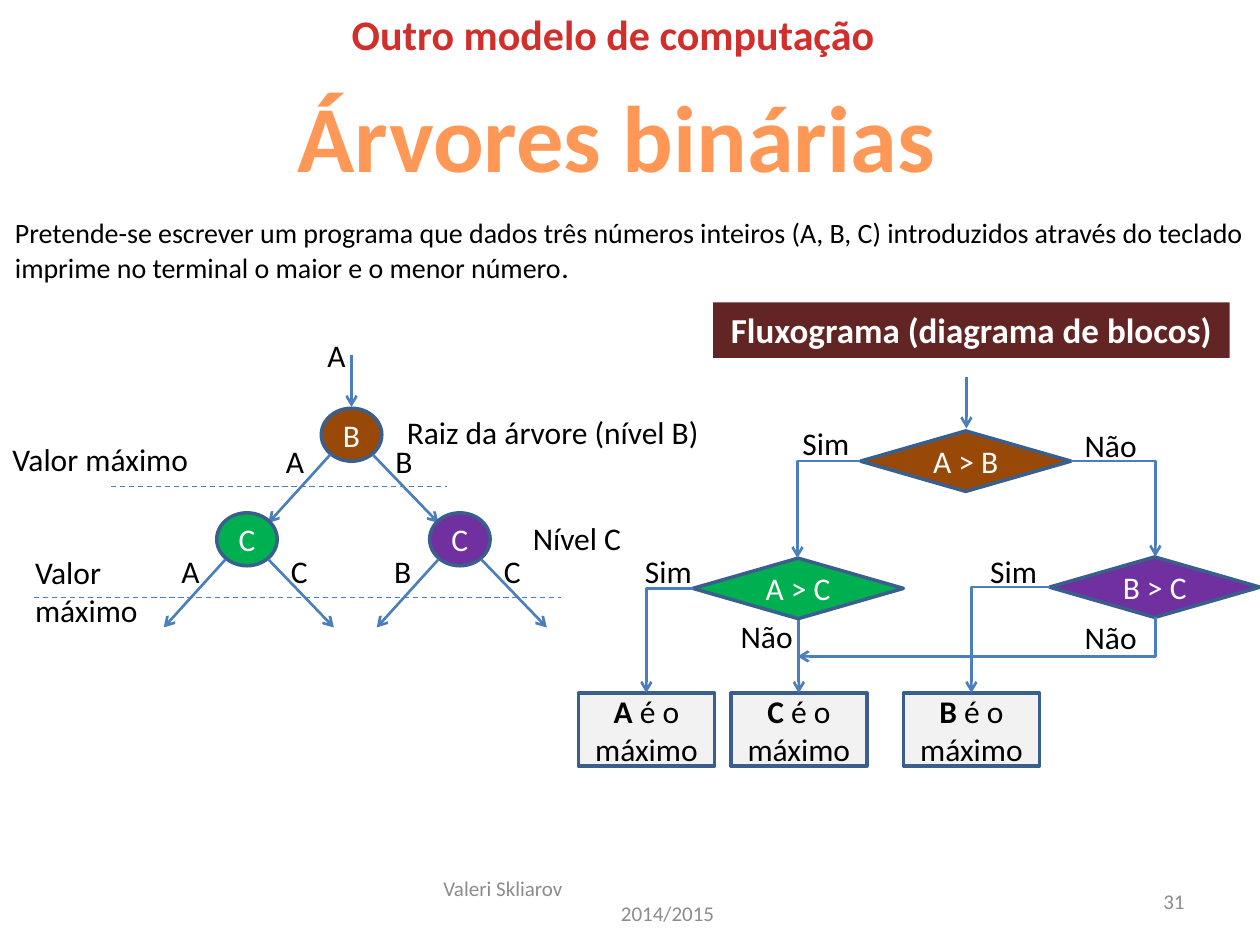
from lxml.etree import SubElement
from pptx import Presentation
from pptx.dml.color import RGBColor
from pptx.enum.dml import MSO_LINE
from pptx.enum.shapes import MSO_CONNECTOR, MSO_SHAPE
from pptx.enum.text import MSO_ANCHOR, PP_ALIGN
from pptx.oxml.ns import qn
from pptx.util import Inches, Pt

COLORS = {
    "black": "000000", "white": "FFFFFF", "gray": "8C8C8C", "red": "D02F2C",
    "orange": "FF9856", "maroon": "632523", "brown": "984807", "green": "00B050",
    "purple": "7030A0", "pale": "F2F2F2", "border": "3A5F8C", "line": "4B7EBC",
}


def color(name):
    return RGBColor.from_string(COLORS[name])


class SlideBuilder:
    font_name = "Calibri"
    text_size = 18

    def __init__(self, slide):
        self.slide = slide

    def add_runs(self, paragraph, runs, size, color_name, align):
        paragraph.alignment = align
        for text, options in runs:
            run = paragraph.add_run()
            run.text = text
            font = run.font
            font.name = self.font_name
            font.size = Pt(options.get("size", size))
            font.bold = options.get("bold", False)
            font.color.rgb = color(color_name)

    def place(self, shape, left, top, width, height):
        shape.left, shape.top = Inches(left), Inches(top)
        shape.width, shape.height = Inches(width), Inches(height)

    def title(self, text, box, size, color_name):
        shape = self.slide.shapes.title
        self.place(shape, *box)
        frame = shape.text_frame
        frame.word_wrap = False
        frame.vertical_anchor = MSO_ANCHOR.TOP
        self.add_runs(frame.paragraphs[0], [(text, {"bold": True})], size, color_name,
                      PP_ALIGN.CENTER)

    def text(self, runs, box, size=text_size, color_name="black", align=PP_ALIGN.LEFT,
             wrap=False, anchor=MSO_ANCHOR.TOP, fill=None):
        shape = self.slide.shapes.add_textbox(*map(Inches, box))
        if fill:
            shape.fill.solid()
            shape.fill.fore_color.rgb = color(fill)
        frame = shape.text_frame
        frame.word_wrap = wrap
        frame.vertical_anchor = anchor
        self.add_runs(frame.paragraphs[0], runs, size, color_name, align)
        return frame

    def label(self, text, left, top, width, height=0.4, wrap=False):
        self.text([(text, {})], (left, top, width, height), wrap=wrap)

    def node(self, kind, runs, box, fill, color_name="white"):
        shape = self.slide.shapes.add_shape(kind, *map(Inches, box))
        shape.shadow.inherit = False
        shape.fill.solid()
        shape.fill.fore_color.rgb = color(fill)
        shape.line.color.rgb = color("border")
        shape.line.width = Pt(2)
        frame = shape.text_frame
        frame.word_wrap = True
        frame.vertical_anchor = MSO_ANCHOR.MIDDLE
        self.add_runs(frame.paragraphs[0], runs, self.text_size, color_name, PP_ALIGN.CENTER)

    def circle(self, text, center, top, fill):
        self.node(MSO_SHAPE.OVAL, [(text, {})], (center - 0.24, top, 0.48, 0.42), fill)

    def decision(self, text, left, top, fill):
        self.node(MSO_SHAPE.FLOWCHART_DECISION, [(text, {})], (left, top, 1.67, 0.48), fill)

    def result(self, letter, left):
        runs = [(letter, {"bold": True}), (" é o máximo", {})]
        self.node(MSO_SHAPE.RECTANGLE, runs, (left, 5.5, 1.08, 0.58), "pale", "black")

    def connector(self, start, end, width=1.5, arrow="tailEnd", bent=False):
        kind = MSO_CONNECTOR.ELBOW if bent else MSO_CONNECTOR.STRAIGHT
        shape = self.slide.shapes.add_connector(kind, *map(Inches, (*start, *end)))
        properties = shape._element.spPr
        if bent:
            properties.find(qn("a:prstGeom")).set("prst", "bentConnector2")
        shape.line.color.rgb = color("line")
        shape.line.width = Pt(width)
        if arrow:
            SubElement(properties.find(qn("a:ln")), qn("a:" + arrow), type="arrow")
        SubElement(properties, qn("a:effectLst"))
        return shape

    def level_line(self, left, right, top):
        shape = self.connector((left, top), (right, top), width=0.75, arrow=None)
        shape.line.dash_style = MSO_LINE.DASH

    def footer(self, author, year):
        frame = self.text([(author, {})], (3.42, 6.95, 3.17, 0.4), 12, "gray",
                          wrap=True, anchor=MSO_ANCHOR.MIDDLE)
        paragraph = frame.add_paragraph()
        paragraph._p.get_or_add_pPr().set("marL", str(Inches(1.41)))
        self.add_runs(paragraph, [(year, {})], 12, "gray", PP_ALIGN.LEFT)


def draw_heading(builder):
    bold = {"bold": True}
    builder.text([("Outro modelo de computação", bold)], (2.67, 0.02, 4.39, 0.5),
                 24, "red", PP_ALIGN.CENTER)
    builder.title("Árvores binárias", (2.22, 0.57, 5.35, 1.01), 54, "orange")
    builder.text([
        ("Pretende-se escrever um programa que dados três números inteiros (A, B, C) "
         "introduzidos através do teclado imprime no terminal o maior e o menor número", {}),
        (".", {"size": 17}),
    ], (0.02, 1.66, 10.05, 0.67), 16, wrap=True)
    builder.text([("Fluxograma (diagrama de blocos)", bold)], (5.66, 2.4, 4.1, 0.44),
                 20, "white", PP_ALIGN.CENTER, fill="maroon")


def draw_tree(builder):
    builder.connector((2.79, 2.82), (2.79, 3.23))
    builder.label("A", 2.5, 2.62, 0.35)
    nodes = [
        ("B", 2.79, 3.24, "brown", "A", "B"),
        ("C", 1.96, 4.07, "green", "A", "C"),
        ("C", 3.65, 4.07, "purple", "B", "C"),
    ]
    for letter, center, top, fill, left_letter, right_letter in nodes:
        builder.circle(letter, center, top, fill)
        for side, reach in ((-1, 0.66), (1, 0.69)):
            builder.connector((center + side * 0.17, top + 0.37),
                              (center + side * reach, top + 0.91))
        label_top = top + (0.22 if letter == "B" else 0.26)
        builder.label(left_letter, center - 0.62, label_top, 0.35)
        builder.label(right_letter, center + 0.25, label_top, 0.34)
    builder.level_line(0.88, 3.55, 3.86)
    builder.level_line(0.27, 4.45, 4.74)
    builder.label("Raiz da árvore (nível B)", 3.13, 3.23, 2.61)
    builder.label("Nível C", 4.13, 4.07, 0.91)
    builder.label("Valor máximo", 0, 3.44, 1.61)
    builder.label("Valor máximo", 0.18, 4.34, 1.25, 0.71, wrap=True)


def draw_flowchart(builder):
    builder.decision("A > B", 6.83, 3.42, "brown")
    builder.decision("A > C", 5.5, 4.43, "green")
    builder.decision("B > C", 8.33, 4.42, "purple")
    for letter, left in (("A", 4.59), ("C", 5.8), ("B", 7.17)):
        builder.result(letter, left)
    for start, end in (((7.67, 2.99), (7.67, 3.4)), ((6.34, 4.92), (6.34, 5.5))):
        builder.connector(start, end)
    branches = [
        ((6.83, 3.66), (6.33, 4.43)),
        ((8.5, 3.66), (9.17, 4.42)),
        ((5.5, 4.67), (5.13, 5.5)),
        ((8.33, 4.66), (7.71, 5.5)),
    ]
    for start, end in branches:
        builder.connector(start, end, bent=True)
    builder.connector((6.33, 5.21), (9.17, 4.9), arrow="headEnd", bent=True)
    for left, top in ((6.27, 3.32), (5.02, 4.33), (7.76, 4.33)):
        builder.label("Sim", left, top, 0.58)
    for left, top in ((8.51, 3.33), (5.78, 4.85), (8.51, 4.86)):
        builder.label("Não", left, top, 0.62)


def main():
    presentation = Presentation()
    presentation.slide_width, presentation.slide_height = Inches(10), Inches(7.5)
    title_only = presentation.slide_layouts[5]
    builder = SlideBuilder(presentation.slides.add_slide(title_only))
    draw_heading(builder)
    draw_tree(builder)
    draw_flowchart(builder)
    builder.footer("Valeri Skliarov", "2014/2015")
    builder.text([("31", {})], (7.17, 6.95, 2.33, 0.4), 12, "gray",
                 PP_ALIGN.RIGHT, wrap=True, anchor=MSO_ANCHOR.MIDDLE)
    presentation.save("out.pptx")


if __name__ == "__main__":
    main()
